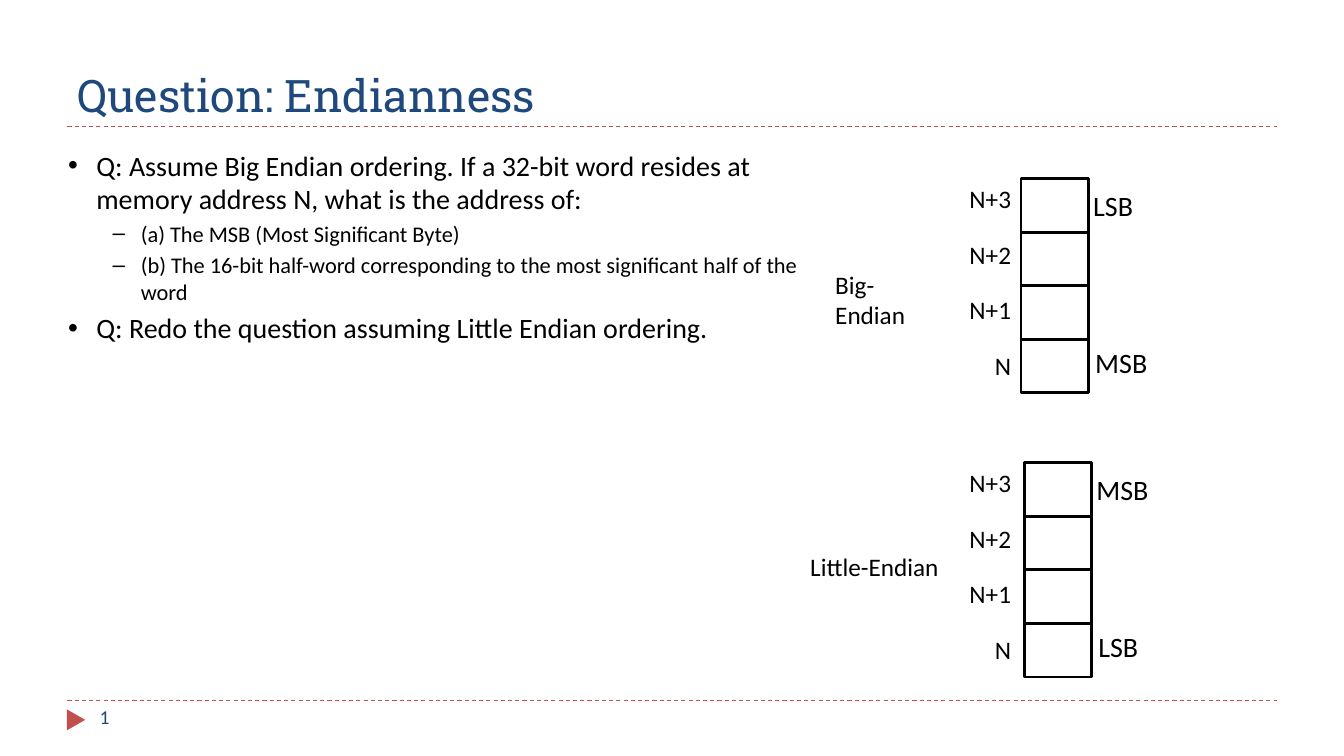
import lxml.etree
import pptx
import pptx.dml.color
import pptx.enum.dml
import pptx.enum.shapes
import pptx.enum.text
import pptx.oxml
import pptx.oxml.ns
import pptx.util

Cm, Pt = pptx.util.Cm, pptx.util.Pt
RGB = pptx.dml.color.RGBColor.from_string
SHAPE = pptx.enum.shapes.MSO_SHAPE
ALIGN = pptx.enum.text.PP_ALIGN
ANCHOR = pptx.enum.text.MSO_ANCHOR
qn = pptx.oxml.ns.qn

THEME = {
    "navy": "1F497D", "red": "C0504D", "black": "000000", "white": "FFFFFF",
    "title": {"name": "Roboto Slab", "size": Pt(32)},
    "body": {"name": "Calibri", "size": Pt(20)},
    "sub": {"name": "Calibri", "size": Pt(16)},
    "label": {"name": "Calibri", "size": Pt(18)},
    "number": {"name": "Calibri", "size": Pt(14)},
}
LEVELS = (
    {"style": "body", "bullet": "•", "indent": 0.71, "before": 4},
    {"style": "sub", "bullet": "–", "indent": 1.83, "before": 3.2},
)
QUESTIONS = (
    (0, "Q: Assume Big Endian ordering. If a 32-bit word resides at memory "
        "address N, what is the address of:"),
    (1, "(a) The MSB (Most Significant Byte)"),
    (1, "(b) The 16-bit half-word corresponding to the most significant half of the word"),
    (0, "Q: Redo the question assuming Little Endian ordering."),
)
ADDRESSES = ("N+3", "N+2", "N+1", "N")


def cm(*values):
    """Convert a series of centimetre values to lengths."""
    return [Cm(v) for v in values]


def style_run(r, style, color="black"):
    """Apply a theme text style and colour to a run."""
    for key, value in THEME[style].items():
        setattr(r.font, key, value)
    r.font.color.rgb = RGB(THEME[color])


def add_text(s, box, text, style, color="black", align=ALIGN.LEFT):
    """Add a wrapped one-paragraph text box and return its paragraph."""
    tf = s.shapes.add_textbox(*cm(*box)).text_frame
    tf.word_wrap = True
    p = tf.paragraphs[0]
    p.alignment = align
    r = p.add_run()
    r.text = text
    style_run(r, style, color)
    return p


def add_rule(s, left, top, width):
    """Add a dashed horizontal rule."""
    line = s.shapes.add_connector(
        pptx.enum.shapes.MSO_CONNECTOR.STRAIGHT, *cm(left, top, left + width, top))
    line.line.color.rgb = RGB(THEME["red"])
    line.line.width = Pt(0.75)
    line.line.dash_style = pptx.enum.dml.MSO_LINE.DASH
    lxml.etree.SubElement(line._element.spPr, qn("a:effectLst"))


def add_title(s, box, text):
    """Place the title over a dashed rule."""
    left, top, width, height = box
    sp = s.shapes.title
    sp.left, sp.top, sp.width, sp.height = cm(*box)
    tf = sp.text_frame
    tf.vertical_anchor = ANCHOR.BOTTOM
    p = tf.paragraphs[0]
    p.alignment = ALIGN.LEFT
    r = p.add_run()
    r.text = text
    style_run(r, "title", "navy")
    add_rule(s, left, top + height, width)


def add_footer(s, box, number):
    """Place the rule, marker triangle and slide number of the footer."""
    left, top, width, height = box
    add_rule(s, left, top, width)
    sp = s.shapes.add_shape(
        SHAPE.ISOSCELES_TRIANGLE, *cm(left - 0.05, top + 0.26, 0.53, 0.46))
    sp.rotation = 90
    sp.shadow.inherit = False
    sp.fill.solid()
    sp.fill.fore_color.rgb = RGB(THEME["red"])
    sp.line.fill.background()
    p = add_text(s, (left + 0.56, top, 7.34, height), number, "number", "navy")
    run = p.runs[0]._r
    run.tag = qn("a:fld")
    run.set("id", "{B6F15528-21DE-4FAA-801E-634DDDAF4B2B}")
    run.set("type", "slidenum")


def add_questions(s, box, questions):
    """Place the two-level bulleted list of questions."""
    tf = s.shapes.add_textbox(*cm(*box)).text_frame
    tf.word_wrap = True
    for i, (depth, text) in enumerate(questions):
        level = LEVELS[depth]
        p = tf.paragraphs[0] if i == 0 else tf.add_paragraph()
        p.level = depth
        p.space_before = Pt(level["before"] if i else 0)
        pPr = p._p.get_or_add_pPr()
        pPr.set("marL", str(Cm(level["indent"])))
        pPr.set("indent", str(-Cm(0.71)))
        lxml.etree.SubElement(pPr, qn("a:buFont")).set("typeface", "Arial")
        lxml.etree.SubElement(pPr, qn("a:buChar")).set("char", level["bullet"])
        r = p.add_run()
        r.text = text
        style_run(r, level["style"])


def add_memory(s, box, cells_x, name, name_box, ends):
    """Place a named stack of byte cells with addresses and end labels."""
    left, top, width, height = box
    row = height / len(ADDRESSES)
    group = s.shapes.add_group_shape()
    for i, address in enumerate(ADDRESSES):
        sp = group.shapes.add_shape(
            SHAPE.RECTANGLE, *cm(left + cells_x, top + i * row, width - cells_x, row))
        sp.shadow.inherit = False
        sp.fill.solid()
        sp.fill.fore_color.rgb = RGB(THEME["white"])
        sp.line.color.rgb = RGB(THEME["black"])
        sp.line.width = Pt(2)
        add_text(s, (left - 0.6, top + i * 1.4, 2.2, 1.02), address, "label",
                 align=ALIGN.RIGHT)
    for i, end in enumerate(ends):
        add_text(s, (left + cells_x + 1.57 + i * 0.05, top + 0.12 + i * 3.97, 2, 1.12),
                 end, "body")
    x, y, name_width = name_box
    add_text(s, (left + x, top + y, name_width, 1.02), name, "label")


def main():
    """Build the endianness question slide."""
    prs = pptx.Presentation()
    prs.slide_width, prs.slide_height = cm(33.87, 19.05)
    s = prs.slides.add_slide(prs.slide_layouts[5])
    add_title(s, (1.7, 0.64, 30.48, 2.54), "Question: Endianness")
    add_footer(s, (1.7, 17.65, 30.48, 1.02), "2")
    add_questions(s, (1.47, 3.61, 19.89, 12.7), QUESTIONS)
    add_memory(s, (24.13, 4.5, 3.3, 5.4), 1.6, "Big-Endian", (-3.33, 2.15, 2.8),
               ("LSB", "MSB"))
    add_memory(s, (24.13, 11.66, 3.38, 5.4), 1.68, "Little-Endian", (-3.96, 2.11, 4),
               ("MSB", "LSB"))
    prs.save("out.pptx")


if __name__ == "__main__":
    main()
